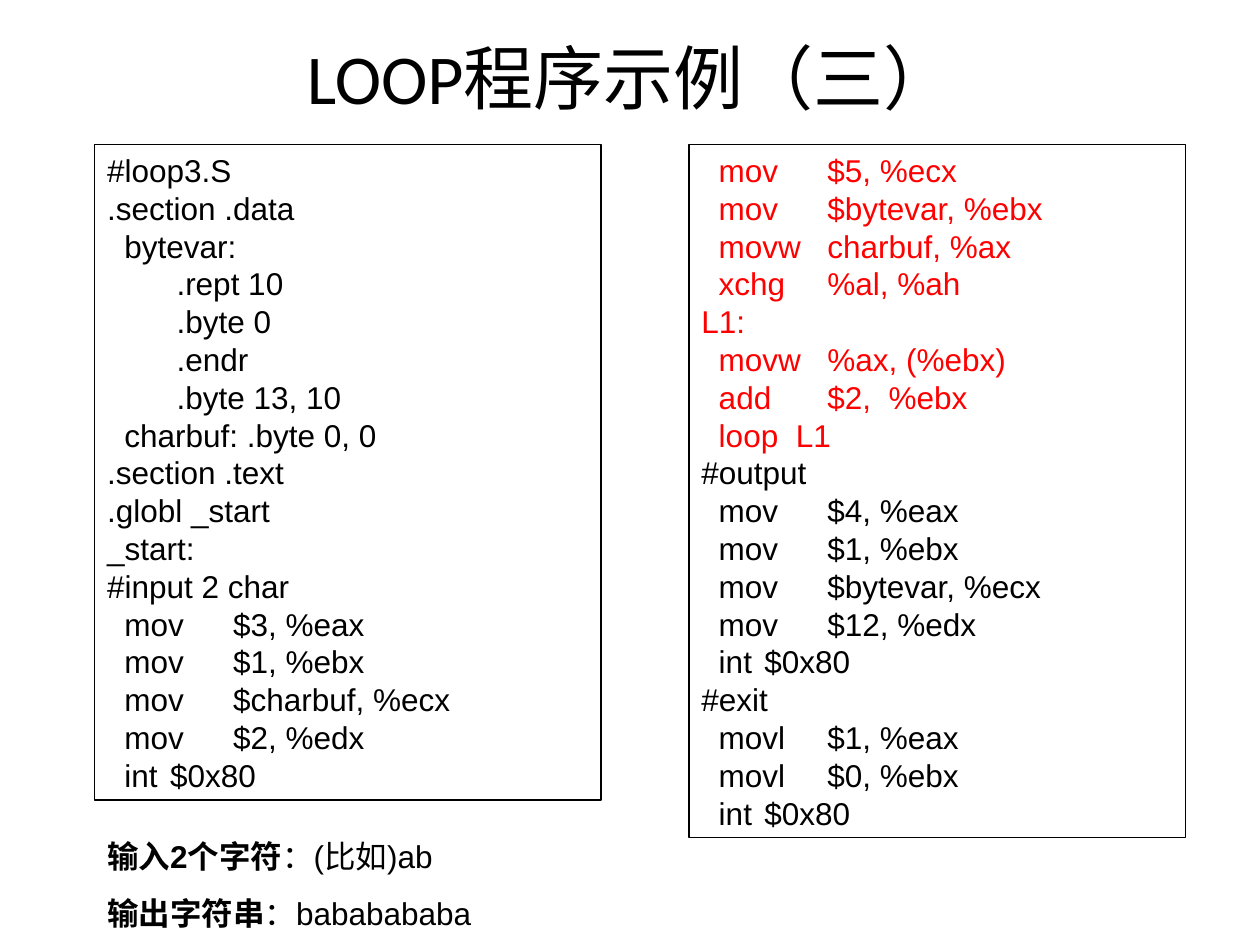
"""Build the slide of the third LOOP example: two code boxes and a sample run."""
from dataclasses import dataclass
from typing import Any

from lxml import etree
from pptx import Presentation
from pptx import util as u
from pptx.dml.color import RGBColor
from pptx.enum import shapes, text
from pptx.oxml import ns

BLACK = RGBColor(0x00, 0x00, 0x00)
RED = RGBColor(0xFF, 0x00, 0x00)
STEP = u.Cm(0.35)
TAB = u.Cm(2.54)
CODE_TOP = u.Cm(2.92)
BODY = {"name": "Arial", "size": u.Pt(18)}

DATA_AND_INPUT = """\
#loop3.S
.section .data
  bytevar:
        .rept 10
        .byte 0
        .endr
        .byte 13, 10
  charbuf: .byte 0, 0
.section .text
.globl _start
_start:
#input 2 char
  mov\t$3, %eax
  mov\t$1, %ebx
  mov\t$charbuf, %ecx
  mov\t$2, %edx
  int\t$0x80"""

LOOP_AND_OUTPUT = """\
  mov\t$5, %ecx
  mov\t$bytevar, %ebx
  movw\tcharbuf, %ax
  xchg\t%al, %ah
L1:
  movw\t%ax, (%ebx)
  add\t$2,  %ebx
  loop  L1
#output
  mov\t$4, %eax
  mov\t$1, %ebx
  mov\t$bytevar, %ecx
  mov\t$12, %edx
  int\t$0x80
#exit
  movl\t$1, %eax
  movl\t$0, %ebx
  int\t$0x80"""


@dataclass(frozen=True)
class CodeBox:
    left: float
    width: float
    height: float
    code: str
    red_lines: int = 0


@dataclass(frozen=True)
class Sample:
    label: str
    value: str


CODE_BOXES = (
    CodeBox(1.91, 10.21, 13.21, DATA_AND_INPUT),
    CodeBox(13.89, 10.01, 13.97, LOOP_AND_OUTPUT, red_lines=8),
)
SAMPLES = (
    Sample("输入2个字符", "：(比如)ab"),
    Sample("输出字符串", "：bababababa"),
)


def set_all(target: Any, values: dict[str, Any]) -> None:
    """Set each named attribute of the target."""
    for name, value in values.items():
        setattr(target, name, value)


def add_run(p: Any, content: str, font: dict[str, Any], color: RGBColor = BLACK) -> None:
    """Append a formatted run to a paragraph."""
    r = p.add_run()
    r.text = content
    set_all(r.font, font)
    r.font.color.rgb = color


def next_paragraph(tf: Any, index: int) -> Any:
    """Return the first paragraph, or a new one after it."""
    return tf.paragraphs[0] if index == 0 else tf.add_paragraph()


def set_code_layout(p: Any, depth: int) -> None:
    """Indent a code line and put its operand at the tab stop."""
    pPr = p._p.get_or_add_pPr()
    pPr.set("marL", "0")
    pPr.set("indent", str(depth * STEP))
    tabs = etree.SubElement(pPr, ns.qn("a:tabLst"))
    etree.SubElement(tabs, ns.qn("a:tab"), pos=str(TAB), algn="l")


def add_code_box(s: Any, box: CodeBox) -> None:
    """Draw an outlined box with its lines of code."""
    sp = s.shapes.add_shape(shapes.MSO_SHAPE.RECTANGLE, u.Cm(box.left), CODE_TOP,
                            u.Cm(box.width), u.Cm(box.height))
    sp.shadow.inherit = False
    sp.fill.background()
    sp.line.color.rgb = BLACK
    sp.line.width = u.Pt(0.75)
    tf = sp.text_frame
    set_all(tf, {"word_wrap": True, "vertical_anchor": text.MSO_ANCHOR.TOP,
                 "auto_size": text.MSO_AUTO_SIZE.SHAPE_TO_FIT_TEXT})
    for i, line in enumerate(box.code.splitlines()):
        p = next_paragraph(tf, i)
        p.alignment = text.PP_ALIGN.LEFT
        content = line.lstrip()
        set_code_layout(p, (len(line) - len(content)) // 2)
        add_run(p, content, BODY, RED if i < box.red_lines else BLACK)


def add_title(s: Any, title: str) -> None:
    """Draw the centred title."""
    sp = s.shapes.add_textbox(u.Cm(1.27), u.Cm(0.76), u.Cm(22.86), u.Cm(1.55))
    tf = sp.text_frame
    set_all(tf, {"word_wrap": True, "vertical_anchor": text.MSO_ANCHOR.MIDDLE})
    p = tf.paragraphs[0]
    p.alignment = text.PP_ALIGN.CENTER
    add_run(p, title, {"name": "Calibri", "size": u.Pt(40)})


def add_samples(s: Any, samples: tuple[Sample, ...]) -> None:
    """Draw the sample input and output, with bold labels."""
    sp = s.shapes.add_textbox(u.Cm(1.91), u.Cm(16.74), u.Cm(10.01), u.Cm(2.18))
    tf = sp.text_frame
    set_all(tf, {"word_wrap": True, "auto_size": text.MSO_AUTO_SIZE.SHAPE_TO_FIT_TEXT})
    for i, sample in enumerate(samples):
        p = next_paragraph(tf, i)
        p.space_before = u.Pt(11.2)
        add_run(p, sample.label, BODY | {"bold": True})
        add_run(p, sample.value, BODY | {"bold": False})


def main() -> None:
    """Build and save the presentation."""
    prs = Presentation()
    set_all(prs, {"slide_width": u.Cm(25.4), "slide_height": u.Cm(19.05)})
    s = prs.slides.add_slide(prs.slide_layouts[6])
    for box in CODE_BOXES:
        add_code_box(s, box)
    add_title(s, "LOOP程序示例（三）")
    add_samples(s, SAMPLES)
    prs.save("out.pptx")


if __name__ == "__main__":
    main()
